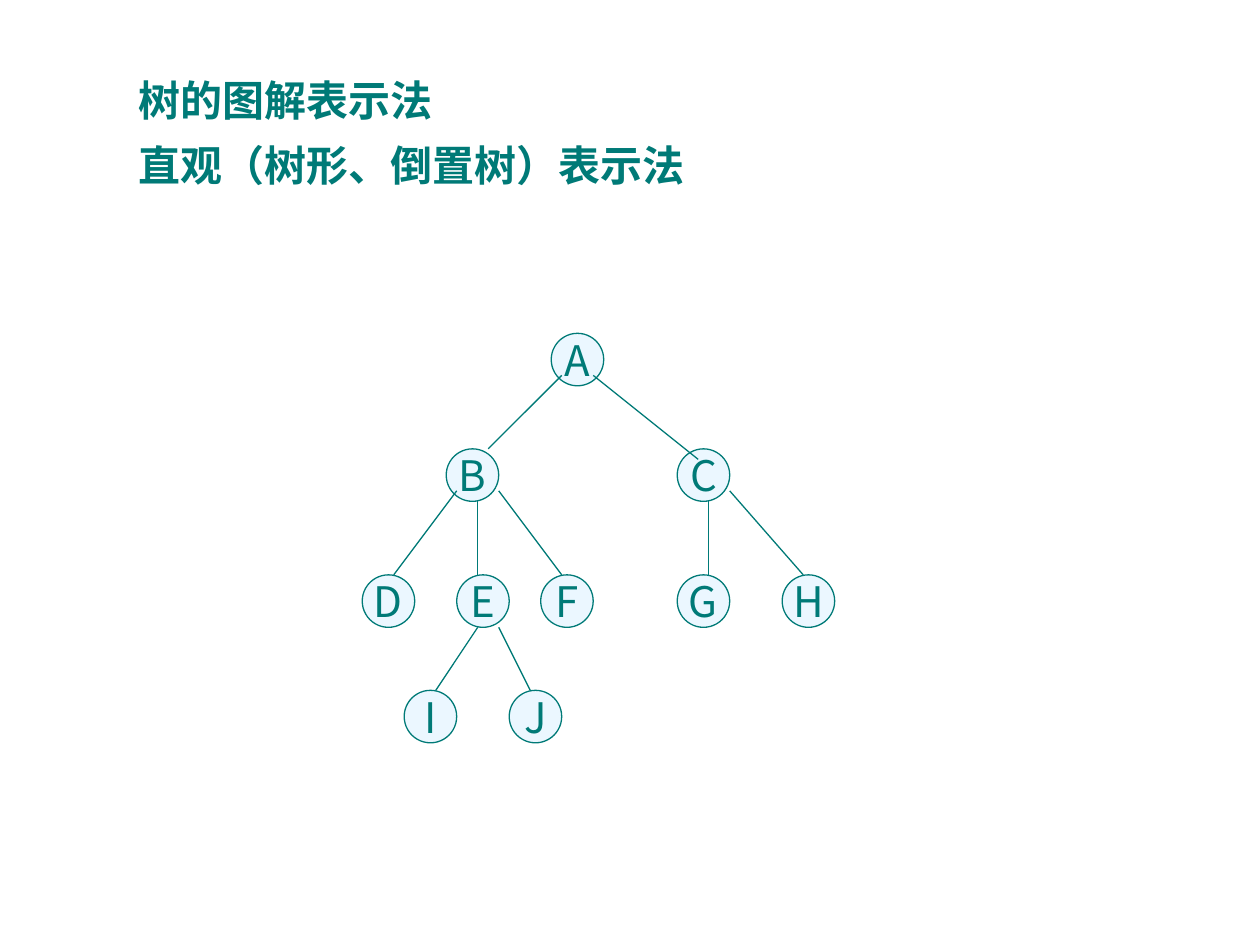
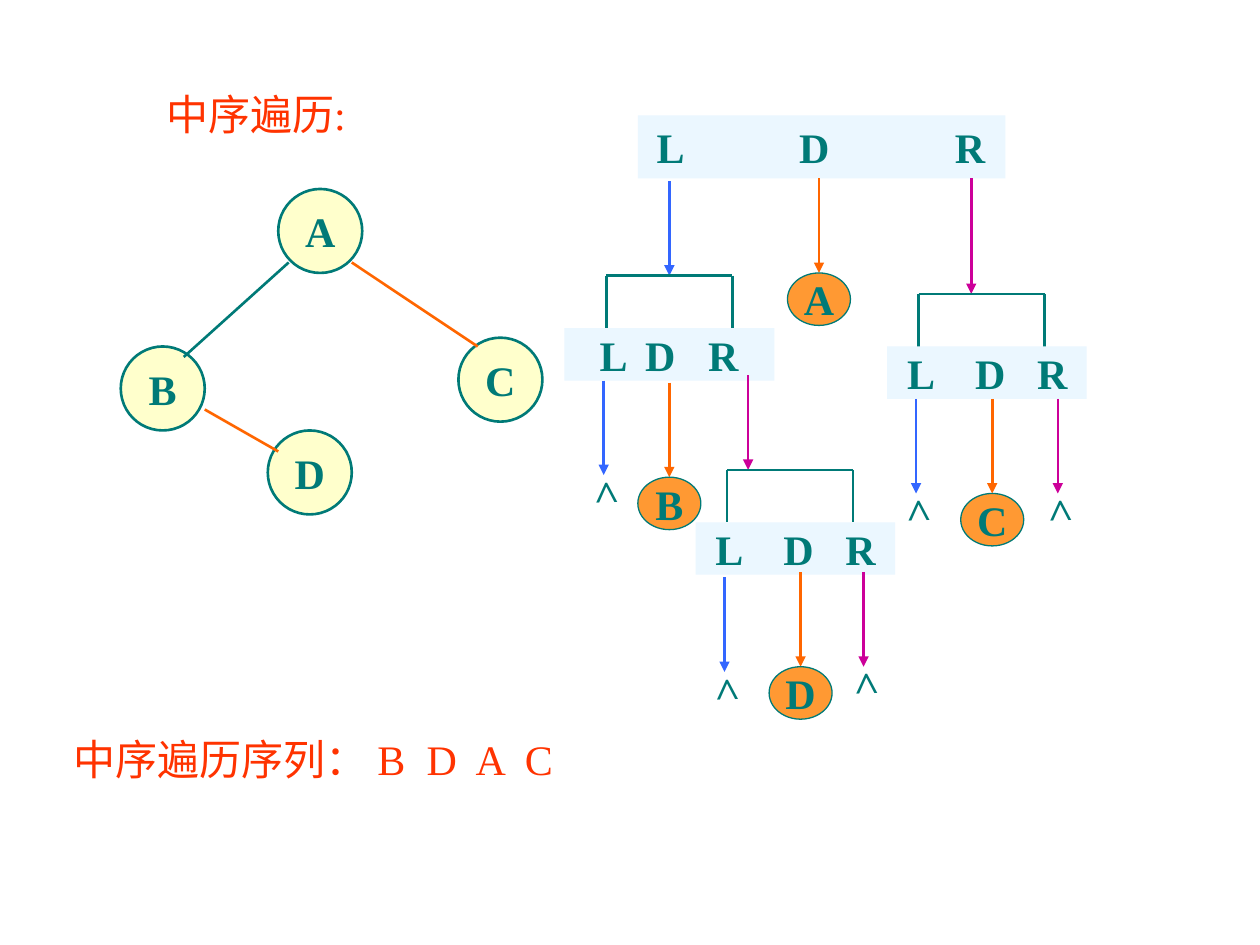
from lxml.etree import SubElement
from pptx import Presentation
from pptx.dml.color import RGBColor
from pptx.enum.lang import MSO_LANGUAGE_ID
from pptx.enum.shapes import MSO_CONNECTOR, MSO_SHAPE
from pptx.enum.text import MSO_ANCHOR, PP_ALIGN
from pptx.oxml.ns import qn
from pptx.util import Cm, Pt

COLORS = {
    "teal": "007A77",
    "pale": "EBF7FF",
    "cream": "FFFFCC",
    "gold": "FF9933",
    "red": "FF3300",
    "L": "3366FF",
    "D": "FF6600",
    "R": "CC0099",
}
SANS = "Noto Sans CJK JP"
SERIF = "Times New Roman"
UNIT = 2.54 / 12
BRACKET_WIDTH = 12
BRACKET_HEIGHT = 5
ARROW_LENGTH = 9


def color(name):
    return RGBColor.from_string(COLORS[name])


def units(*values):
    return [Cm(value * UNIT) for value in values]


def style_font(paragraph, name, color_name, bold=False):
    for run in paragraph.runs:
        font = run.font
        font.name, font.size, font.bold = name, Pt(24), bold
        font.color.rgb = color(color_name)
        font.language_id = MSO_LANGUAGE_ID.SIMPLIFIED_CHINESE


def add_tabs(paragraph, stops):
    tab_list = SubElement(paragraph._p.get_or_add_pPr(), qn("a:tabLst"))
    for stop in stops:
        SubElement(tab_list, qn("a:tab"), pos=str(Cm(stop)), algn="l")


def add_text(slide, box, lines, font_name, color_name, bold=False, spacing=None, tabs=()):
    shape = slide.shapes.add_textbox(*(Cm(value) for value in box))
    frame = shape.text_frame
    frame.word_wrap = True
    frame.text = "\n".join(lines)
    for paragraph in frame.paragraphs:
        if tabs:
            add_tabs(paragraph, tabs)
        if spacing:
            paragraph.line_spacing = spacing
        style_font(paragraph, font_name, color_name, bold)
    return shape


def add_line(slide, start, end, color_name, width, arrow=False):
    line = slide.shapes.add_connector(
        MSO_CONNECTOR.STRAIGHT, *units(*start), *units(*end))
    line.line.color.rgb = color(color_name)
    line.line.width = Pt(width)
    if arrow:
        SubElement(line.line._get_or_add_ln(), qn("a:tailEnd"), type="triangle")
    SubElement(line._element.spPr, qn("a:effectLst"))
    return line


def add_shape(slide, kind, box, fill, line_width=None):
    shape = slide.shapes.add_shape(kind, *units(*box))
    shape.shadow.inherit = False
    shape.fill.solid()
    shape.fill.fore_color.rgb = color(fill)
    if line_width:
        shape.line.color.rgb = color("teal")
        shape.line.width = Pt(line_width)
    else:
        shape.line.fill.background()
    shape.text_frame.word_wrap = False
    shape.text_frame.vertical_anchor = MSO_ANCHOR.MIDDLE
    return shape


def add_node(slide, box, letter, fill, line_width, font_name, bold):
    node = add_shape(slide, MSO_SHAPE.OVAL, box, fill, line_width)
    node.text_frame.text = letter
    paragraph = node.text_frame.paragraphs[0]
    paragraph.alignment = PP_ALIGN.CENTER
    style_font(paragraph, font_name, "teal", bold)
    return node


def draw_tree(slide, origin, nodes, edges, size, fill, line_width, font_name, bold):
    left, top = origin
    for letter, (x, y) in nodes.items():
        add_node(slide, (left + x, top + y, size, size), letter,
                 fill, line_width, font_name, bold)
    for x1, y1, x2, y2, color_name in edges:
        add_line(slide, (left + x1, top + y1), (left + x2, top + y2),
                 color_name, line_width)


def add_band(slide, box, inset, stops):
    band = add_shape(slide, MSO_SHAPE.RECTANGLE, box, "pale")
    frame = band.text_frame
    frame.margin_left = Cm(inset)
    frame.text = "L\tD\tR"
    paragraph = frame.paragraphs[0]
    paragraph.alignment = PP_ALIGN.LEFT
    add_tabs(paragraph, stops)
    style_font(paragraph, SERIF, "teal", True)


def add_branch(slide, direction, x, y, leaf=None, length=ARROW_LENGTH):
    end = y + length
    arrow = add_line(slide, (x, y), (x, end), direction, 1.5, arrow=True)
    if leaf == ">":
        box = [value * UNIT for value in (x - 2.5, end - 1.5, 5, 6)]
        add_text(slide, box, [leaf], SERIF, "teal", True).rotation = 268.3
    elif leaf:
        node = add_node(slide, (x - 3, end, 6, 5), leaf, "gold", 0.75, SERIF, True)
        arrow.end_connect(node, 0)


def draw_step(slide, origin, overhang, band_width, inset, stops, branches):
    left, top = origin
    right, bottom = left + BRACKET_WIDTH, top + BRACKET_HEIGHT
    add_line(slide, (left, top), (right, top), "teal", 1.5)
    for x in (left, right):
        add_line(slide, (x, top), (x, bottom), "teal", 1.5)
    add_band(slide, (left - overhang, bottom, band_width, 5), inset, stops)
    for direction, x, y, leaf in branches:
        add_branch(slide, direction, left + x, top + y, leaf)


def draw_traversal(slide, origin):
    left, top = origin
    add_band(slide, (left + 7, top, 35, 6), 0.38, (2.87, 6.01))
    add_branch(slide, "L", left + 10, top + 6.25)
    add_branch(slide, "D", left + 24.25, top + 6, "A")
    add_branch(slide, "R", left + 38.75, top + 6, length=11)
    draw_step(slide, (left + 4, top + 15.25), 4, 20, 0.71, (0.92, 2.19), [
        ("L", -0.25, 10, ">"), ("D", 6, 10.2, "B"), ("R", 13.5, 9.5, None)])
    draw_step(slide, (left + 15.5, top + 33.75), 3, 19, 0.4, (1.37, 2.62), [
        ("L", -0.25, 10.25, ">"), ("D", 7, 9.75, "D"), ("R", 13, 9.75, ">")])
    draw_step(slide, (left + 33.75, top + 17), 3, 19, 0.4, (1.37, 2.62), [
        ("L", -0.25, 10, ">"), ("D", 7, 10, "C"), ("R", 13.25, 10, ">")])


def build_tree_slide(slide):
    add_text(slide, (2.54, 1.07, 12.95, 3.12),
             ["树的图解表示法", "直观（树形、倒置树）表示法"],
             SANS, "teal", bold=True, spacing=1.3)
    nodes = {
        "A": (18, 0), "B": (8, 11), "C": (30, 11),
        "D": (0, 23), "E": (9, 23), "F": (17, 23), "G": (30, 23), "H": (40, 23),
        "I": (4, 34), "J": (14, 34),
    }
    edges = [
        (19, 4, 12, 11), (22, 4, 32, 12), (9, 15, 3, 23),
        (11, 16, 11, 23), (13, 15, 19, 23), (11, 28, 7, 34),
        (13, 28, 16, 34), (33, 16, 33, 23), (35, 15, 42, 23),
    ]
    draw_tree(slide, (34.5, 31.75), nodes, [(*edge, "teal") for edge in edges],
              5, "pale", 0.75, SANS, False)


def build_inorder_slide(slide):
    nodes = {"A": (15, 0), "D": (14, 23), "B": (0, 15), "C": (32.16, 14.16)}
    edges = [(16, 7, 6, 16, "teal"), (22, 7, 34, 15, "D"), (8, 21, 15, 25, "D")]
    draw_tree(slide, (11.5, 18), nodes, edges, 8, "cream", 1.5, SERIF, True)
    draw_traversal(slide, (53.75, 11))
    add_text(slide, (1.24, 14.66, 10.26, 1.27), ["中序遍历序列：\tB\tD\tA\tC"],
             SERIF, "red", tabs=[6.12 + 0.99 * step for step in range(4)])
    add_text(slide, (3.1, 1.65, 4.32, 1.27), ["中序遍历:"], SERIF, "red")


def main():
    presentation = Presentation()
    presentation.slide_width, presentation.slide_height = Cm(25.4), Cm(19.05)
    for build in (build_tree_slide, build_inorder_slide):
        build(presentation.slides.add_slide(presentation.slide_layouts[6]))
    presentation.save("out.pptx")


if __name__ == "__main__":
    main()
